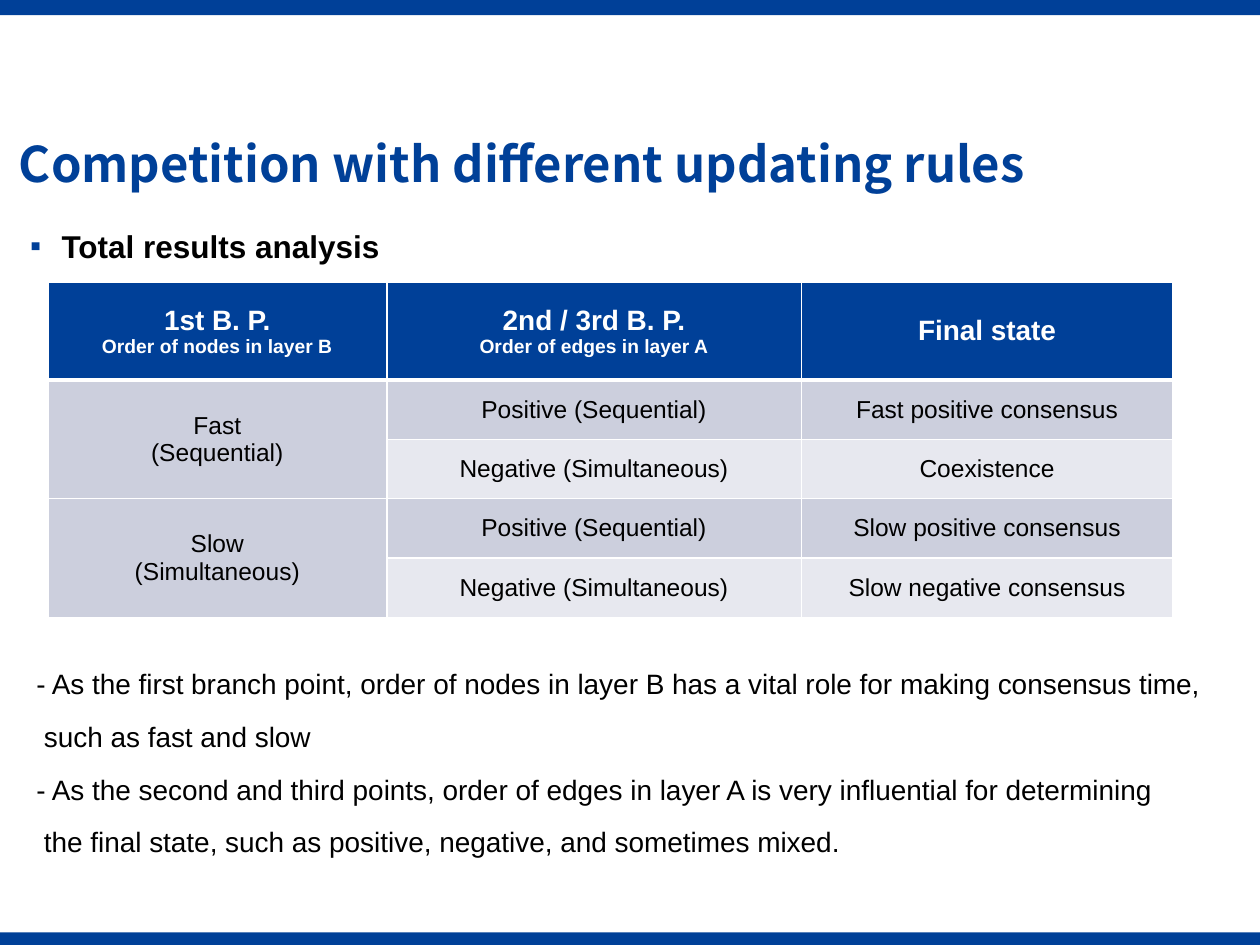
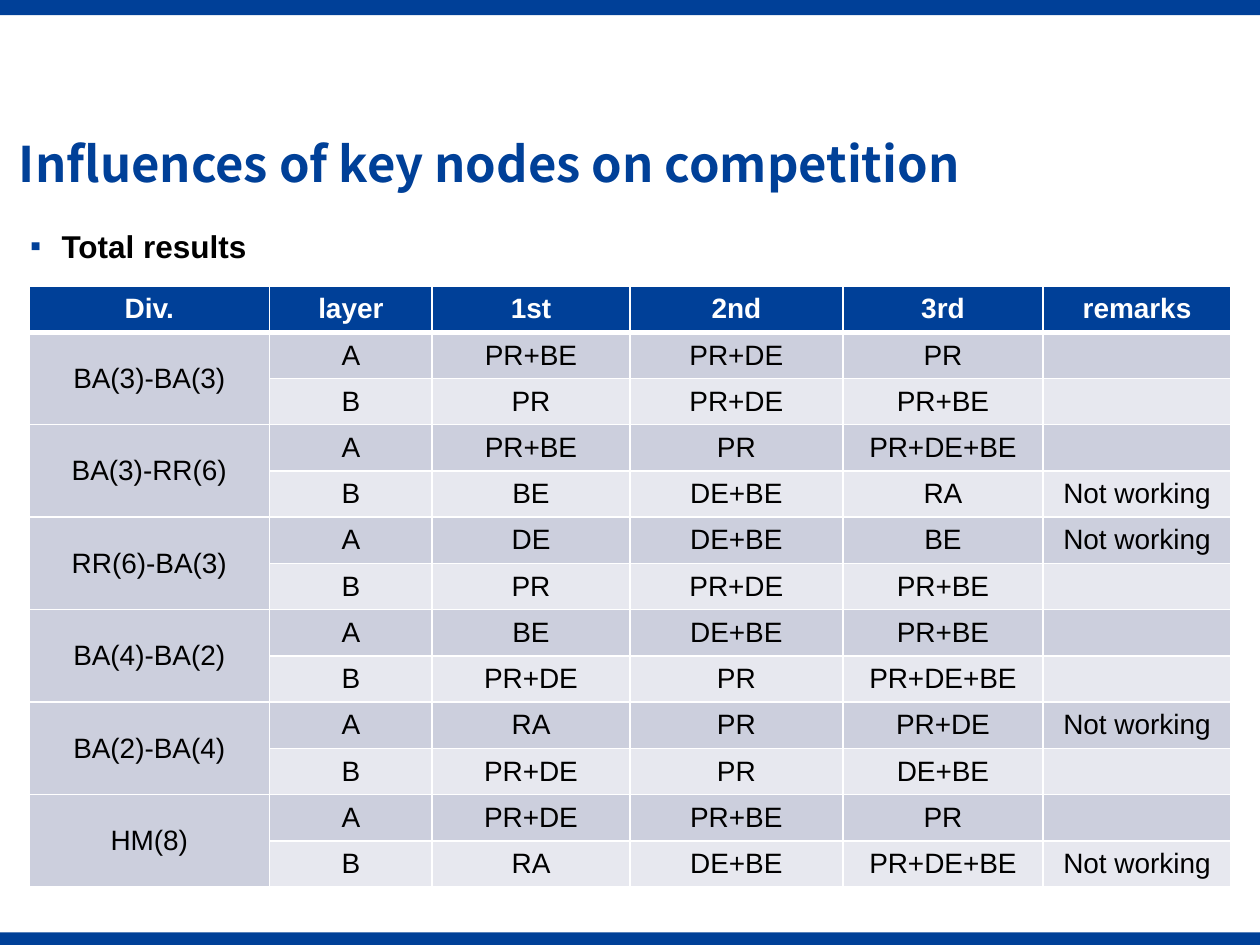
from dataclasses import dataclass

from lxml.etree import SubElement
from pptx import Presentation
from pptx.dml.color import RGBColor as RGB
from pptx.enum.shapes import MSO_SHAPE as SHAPE
from pptx.enum.text import MSO_ANCHOR as ANCHOR, MSO_AUTO_SIZE as AUTO, PP_ALIGN as ALIGN
from pptx.oxml.ns import qn
from pptx.util import Inches, Pt

GRID_COLS, GRID_ROWS = 100, 75


@dataclass(frozen=True)
class Theme:
    blue: str = "004098"
    white: str = "FFFFFF"
    black: str = "000000"
    band_dark: str = "CCCFDD"
    band_light: str = "E7E8EF"
    title_font: str = "Noto Sans CJK SC"
    body_font: str = "Arial"
    title: int = 28
    heading: int = 18
    body: int = 16
    compact: int = 14
    caption: int = 11
    rule: int = 1
    header_rule: int = 3


@dataclass(frozen=True)
class Box:
    col: float
    row: float
    cols: float
    rows: float

    def place(self, prs):
        w, h = prs.slide_width / GRID_COLS, prs.slide_height / GRID_ROWS
        return [int(n) for n in (self.col * w, self.row * h, self.cols * w, self.rows * h)]


T = Theme()
BANDS = (Box(0, 74, 100, 1), Box(0, 0, 100, 1.2))
TITLE_BOX = Box(0.5, 10.1, 91.6, 6.3)
HEADING_BOX = Box(1.4, 17.5, 84.2, 4)

RULES_HEADER = ["1st B. P.\nOrder of nodes in layer B",
                "2nd / 3rd B. P.\nOrder of edges in layer A", "Final state"]
RULES_GROUPS = [
    ("Fast\n(Sequential)", [["Positive (Sequential)", "Fast positive consensus"],
                            ["Negative (Simultaneous)", "Coexistence"]]),
    ("Slow\n(Simultaneous)", [["Positive (Sequential)", "Slow positive consensus"],
                              ["Negative (Simultaneous)", "Slow negative consensus"]]),
]
RULES_NOTES = [
    (0.19, "- As the first branch point, order of nodes in layer B has a vital role for making consensus time,"),
    (0.25, "such as fast and slow"),
    (0.19, "- As the second and third points, order of edges in layer A is very influential for determining"),
    (0.25, "the final state, such as positive, negative, and sometimes mixed."),
]

NODES_HEADER = ["Div.", "layer", "1st", "2nd", "3rd", "remarks"]
NODES_GROUPS = [
    ("BA(3)-BA(3)", [["A", "PR+BE", "PR+DE", "PR", ""],
                     ["B", "PR", "PR+DE", "PR+BE", ""]]),
    ("BA(3)-RR(6)", [["A", "PR+BE", "PR", "PR+DE+BE", ""],
                     ["B", "BE", "DE+BE", "RA", "Not working"]]),
    ("RR(6)-BA(3)", [["A", "DE", "DE+BE", "BE", "Not working"],
                     ["B", "PR", "PR+DE", "PR+BE", ""]]),
    ("BA(4)-BA(2)", [["A", "BE", "DE+BE", "PR+BE", ""],
                     ["B", "PR+DE", "PR", "PR+DE+BE", ""]]),
    ("BA(2)-BA(4)", [["A", "RA", "PR", "PR+DE", "Not working"],
                     ["B", "PR+DE", "PR", "DE+BE", ""]]),
    ("HM(8)", [["A", "PR+DE", "PR+BE", "PR", ""],
               ["B", "RA", "DE+BE", "PR+DE+BE", "Not working"]]),
]


def add_text(p, text, size, color=T.black, bold=False, font=T.body_font):
    r = p.add_run()
    r.text = text
    for name, value in {"name": font, "size": Pt(size), "bold": bold}.items():
        setattr(r.font, name, value)
    r.font.color.rgb = RGB.from_string(color)


def add_bands(prs, layout, slide):
    for i, box in enumerate(BANDS):
        sp = slide.shapes.add_shape(SHAPE.RECTANGLE, *box.place(prs))
        sp.shadow.inherit = False
        sp.fill.solid()
        sp.fill.fore_color.rgb = RGB.from_string(T.blue)
        sp.line.fill.background()
        sp.element.nvSpPr.cNvPr.set("id", str(20 + i))
        layout.element.cSld.spTree.append(sp.element)


def add_title(prs, slide, text, box=TITLE_BOX):
    sp = slide.shapes.title
    for name, value in zip(("left", "top", "width", "height"), box.place(prs)):
        setattr(sp, name, value)
    tf = sp.text_frame
    for name, value in {"word_wrap": True, "auto_size": AUTO.NONE,
                        "vertical_anchor": ANCHOR.MIDDLE}.items():
        setattr(tf, name, value)
    p = tf.paragraphs[0]
    p.alignment, p.line_spacing = ALIGN.LEFT, 0.9
    add_text(p, text, T.title, T.blue, True, T.title_font)


def add_text_box(prs, slide, box):
    tf = slide.shapes.add_textbox(*box.place(prs)).text_frame
    tf.word_wrap = True
    return tf


def add_heading(prs, slide, text, box=HEADING_BOX):
    p = add_text_box(prs, slide, box).paragraphs[0]
    pPr = p._p.get_or_add_pPr()
    pPr.set("marL", str(Inches(0.25)))
    pPr.set("indent", str(-Inches(0.25)))
    SubElement(SubElement(pPr, qn("a:buClr")), qn("a:srgbClr"), val=T.blue)
    SubElement(pPr, qn("a:buFont"), typeface=T.body_font)
    SubElement(pPr, qn("a:buChar"), char="▪")
    add_text(p, text, T.heading, bold=True)


def add_notes_text(prs, slide, lines, box):
    tf = add_text_box(prs, slide, box)
    for i, (indent, line) in enumerate(lines):
        p = tf.add_paragraph() if i else tf.paragraphs[0]
        p._p.get_or_add_pPr().set("marL", str(Inches(indent)))
        if i:
            p.space_before = Pt(11)
        add_text(p, line, T.body)


def set_borders(cell, top, bottom):
    tcPr = cell._tc.get_or_add_tcPr()
    for side, width in {"L": T.rule, "R": T.rule, "T": top, "B": bottom}.items():
        ln = SubElement(tcPr, qn(f"a:ln{side}"), w=str(Pt(width)))
        SubElement(SubElement(ln, qn("a:solidFill")), qn("a:srgbClr"), val=T.white)


def fill_cell(cell, text, row, size):
    header = row == 0
    set_borders(cell, T.header_rule if row == 1 else T.rule,
                T.header_rule if header else T.rule)
    cell.fill.solid()
    cell.fill.fore_color.rgb = RGB.from_string(
        T.blue if header else T.band_dark if row % 2 else T.band_light)
    cell.vertical_anchor = ANCHOR.MIDDLE
    tf = cell.text_frame
    for i, line in enumerate(text.split("\n")):
        p = tf.add_paragraph() if i else tf.paragraphs[0]
        p.alignment = ALIGN.CENTER
        if not line:
            SubElement(p._p, qn("a:endParaRPr"), sz=str(size * 100))
        elif header:
            add_text(p, line, T.caption if i else T.body, T.white, True)
        else:
            add_text(p, line, size)


def add_group_table(prs, slide, header, groups, box, col_shares, header_share, size):
    rows = [header]
    for label, members in groups:
        rows += [[label if i == 0 else "", *m] for i, m in enumerate(members)]
    left, top, width, height = box.place(prs)
    table = slide.shapes.add_table(len(rows), len(header), left, top, width, height).table
    table.horz_banding = False
    for column, share in zip(table.columns, col_shares):
        column.width = int(width * share / sum(col_shares))
    row_shares = [header_share] + [1] * (len(rows) - 1)
    for row, share in zip(table.rows, row_shares):
        row.height = int(height * share / sum(row_shares))
    for r, texts in enumerate(rows):
        for c, text in enumerate(texts):
            fill_cell(table.cell(r, c), text, r, size)
    start = 1
    for _, members in groups:
        end = start + len(members)
        table.cell(start, 0).merge(table.cell(end - 1, 0))
        start = end


def add_results_slide(prs, layout, title, heading):
    slide = prs.slides.add_slide(layout)
    add_title(prs, slide, title)
    add_heading(prs, slide, heading)
    return slide


def main():
    prs = Presentation()
    prs.slide_width, prs.slide_height = Inches(10), Inches(7.5)
    layout = prs.slide_layouts[5]

    rules = add_results_slide(prs, layout, "Competition with different updating rules",
                              "Total results analysis")
    add_bands(prs, layout, rules)
    add_group_table(prs, rules, RULES_HEADER, RULES_GROUPS, Box(3.8, 22.4, 89.3, 26.6),
                    (2.69, 3.29, 2.95), 1.65, T.compact)
    add_notes_text(prs, rules, RULES_NOTES, Box(0, 52.4, 101.6, 16))

    nodes = add_results_slide(prs, layout, "Influences of key nodes on competition",
                              "Total results")
    add_group_table(prs, nodes, NODES_HEADER, NODES_GROUPS, Box(2.3, 22.7, 95.4, 47.7),
                    (1.91, 1.29, 1.57, 1.69, 1.59, 1.49), 1, T.body)

    prs.save("out.pptx")


if __name__ == "__main__":
    main()
